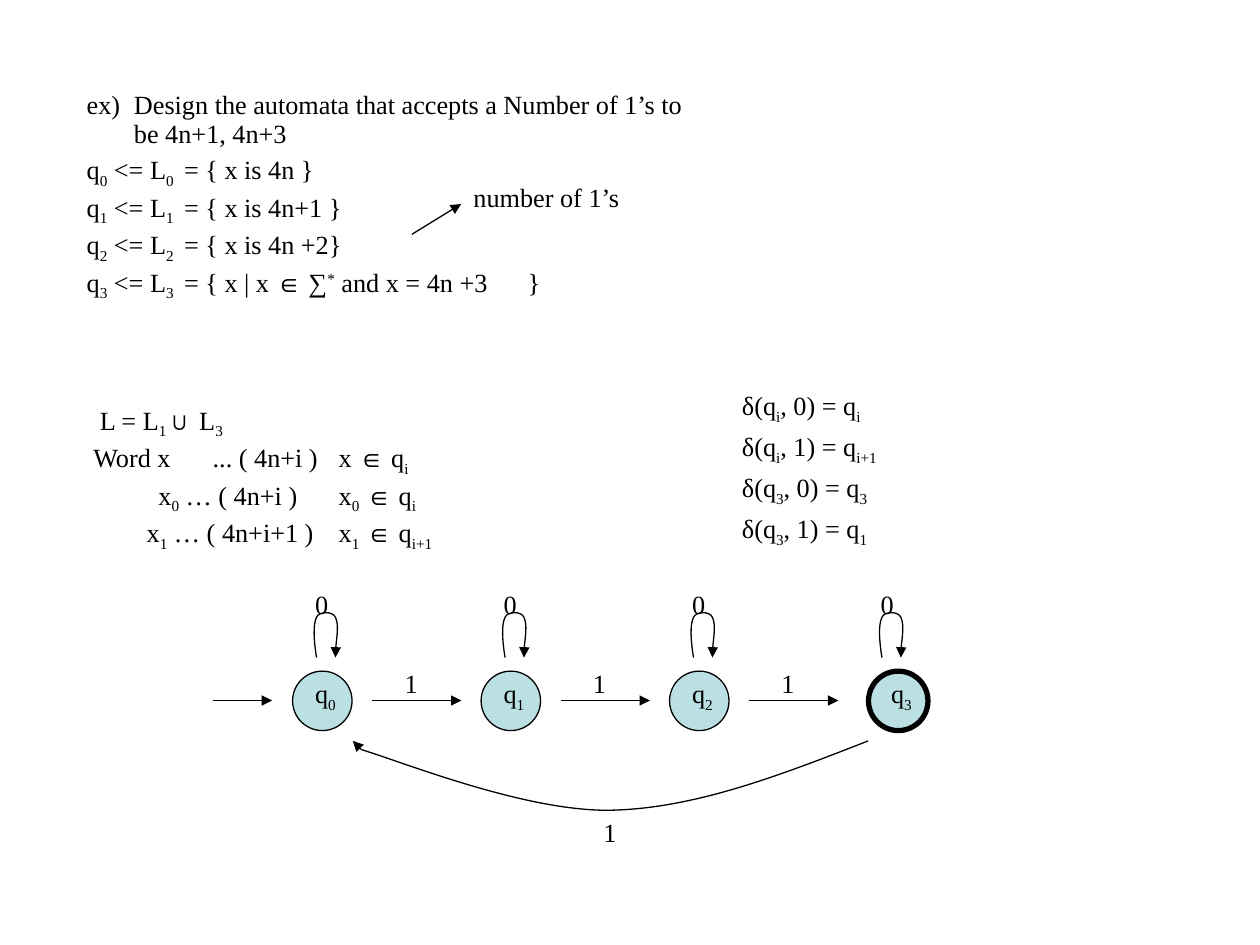
"""Build a slide that designs a four-state automaton counting ones."""
from dataclasses import dataclass

from lxml.etree import SubElement
from pptx import Presentation
from pptx.dml.color import RGBColor
from pptx.enum.shapes import MSO_CONNECTOR, MSO_SHAPE
from pptx.oxml.ns import qn
from pptx.util import Pt


@dataclass(frozen=True)
class Theme:
    font: str = "Times New Roman"
    size: float = 15
    ink: RGBColor = RGBColor(0x00, 0x00, 0x00)
    state_fill: RGBColor = RGBColor(0xBB, 0xE0, 0xE3)
    thin: float = 0.75
    thick: float = 3
    gap: float = 3
    section_gap: float = 60.5


@dataclass(frozen=True)
class Line:
    text: str
    margin: float = 0
    first_indent: float = 0
    stops: tuple = ()
    gap: float = Theme.gap


THEME = Theme()

EXPLANATION = [
    Line("ex)\tDesign the automata that accepts a Number of 1’s to be 4n+1, 4n+3", 27, -27),
    Line("q_0_ <= L_0 _ = { x is 4n }"),
    Line("q_1_ <= L_1 _ = { x is 4n+1 }"),
    Line("q_2_ <= L_2 _ = { x is 4n +2}"),
    Line("q_3_ <= L_3 _ = { x | x ∈ ∑_*_ and x = 4n +3\t}", stops=(236.6,)),
    Line("L = L_1_∪ L_3_", first_indent=7.5, gap=THEME.section_gap),
    Line("Word x\t... ( 4n+i )\tx ∈ q_i_", first_indent=3.75, stops=(58.9, 223.4)),
    Line("x_0_ … ( 4n+i )\tx_0_ ∈ q_i_", first_indent=41, stops=(221.4,)),
    Line("x_1_ … ( 4n+i+1 )\tx_1_ ∈ q_i+1_", first_indent=34.3, stops=(212,)),
]
TRANSITIONS = [
    Line("δ(q_i_, 0) = q_i_"),
    Line("δ(q_i_, 1) = q_i+1_"),
    Line("δ(q_3_, 0) = q_3_"),
    Line("δ(q_3_, 1) = q_1_"),
]
STATES = ["q_0_", "q_1_", "q_2_", "q_3_"]

COLUMN_LEFT, COLUMN_PITCH = 167.2, 107.7
STATE_TOP, STATE_SIZE, ACCEPT_SHIFT = 383.5, 34, 6
ARROW_Y = 400.3
LOOP = [(13.7, 375.8), (12.2, 366.5), (11.5, 357.1), (13.7, 352.8), (15.1, 349.2),
        (23, 349.2), (24.5, 352.8), (26.6, 357.1), (23.8, 375.1), (24.5, 375.8)]
RETURN = [(496.1, 423.4), (446.4, 442.8), (396.7, 462.2), (348.5, 463),
          (300.2, 463.7), (230.4, 435.6), (206.6, 428.4)]
RETURN_TIP = (201.6, 423.4)


def add_spans(para, text):
    for position, piece in enumerate(text.split("_")):
        if not piece:
            continue
        span = para.add_run()
        span.text = piece
        span.font.name = THEME.font
        span.font.size = Pt(THEME.size)
        span.font.color.rgb = THEME.ink
        if position % 2:
            baseline = "30000" if piece.startswith("*") else "-25000"
            span._r.get_or_add_rPr().set("baseline", baseline)


def add_text(left, top, width, height, lines, spacing=1.0):
    box = slide.shapes.add_textbox(Pt(left), Pt(top), Pt(width), Pt(height))
    frame = box.text_frame
    frame.word_wrap = True
    for number, line in enumerate(lines):
        para = frame.paragraphs[0] if number == 0 else frame.add_paragraph()
        para.line_spacing = spacing
        para.space_before = Pt(line.gap if number else 0)
        properties = para._p.get_or_add_pPr()
        properties.set("marL", str(Pt(line.margin)))
        properties.set("indent", str(Pt(line.first_indent)))
        if line.stops:
            tabs = SubElement(properties, qn("a:tabLst"))
            for stop in line.stops:
                SubElement(tabs, qn("a:tab"), pos=str(Pt(stop)), algn="l")
        add_spans(para, line.text)


def style_line(shape, width=THEME.thin, arrow=False):
    shape.line.color.rgb = THEME.ink
    shape.line.width = Pt(width)
    if arrow:
        SubElement(shape.line._get_or_add_ln(), qn("a:tailEnd"), type="triangle")


def add_arrow(start, end):
    arrow = slide.shapes.add_connector(MSO_CONNECTOR.STRAIGHT, *map(Pt, start + end))
    style_line(arrow, arrow=True)
    SubElement(arrow._element.spPr, qn("a:effectLst"))


def add_curve(controls, arrow=False):
    points = [(Pt(x), Pt(y)) for x, y in controls]
    builder = slide.shapes.build_freeform(*points[0])
    builder.add_line_segments(points[1:], close=False)
    curve = builder.convert_to_shape()
    segments = list(curve._element.iter(qn("a:lnTo")))
    outline = segments[0].getparent()
    for first in range(0, len(segments), 3):
        bezier = SubElement(outline, qn("a:cubicBezTo"))
        for segment in segments[first:first + 3]:
            bezier.append(segment[0])
            outline.remove(segment)
    curve.fill.background()
    curve.shadow.inherit = False
    style_line(curve, arrow=arrow)


def add_state(left, width):
    state = slide.shapes.add_shape(
        MSO_SHAPE.OVAL, Pt(left), Pt(STATE_TOP), Pt(STATE_SIZE), Pt(STATE_SIZE))
    state.fill.solid()
    state.fill.fore_color.rgb = THEME.state_fill
    state.shadow.inherit = False
    style_line(state, width)


deck = Presentation()
deck.slide_width, deck.slide_height = Pt(720), Pt(540)
slide = deck.slides.add_slide(deck.slide_layouts[6])

add_text(42.5, 49, 357, 306, EXPLANATION, spacing=0.9)
add_text(416.9, 218.9, 198.7, 104.4, TRANSITIONS)
add_text(263.5, 100, 164, 25, [Line("number of 1’s")])
add_arrow((235.4, 133.9), (263.5, 116.6))

add_arrow((121.7, ARROW_Y), (155.5, ARROW_Y))
for index, name in enumerate(STATES):
    column = COLUMN_LEFT + index * COLUMN_PITCH
    accepting = index == len(STATES) - 1
    state_left = column + (ACCEPT_SHIFT if accepting else 0)
    add_state(state_left, THEME.thick if accepting else THEME.thin)
    add_text(state_left + 5.8, STATE_TOP, 45.4, 25, [Line(name)])
    add_curve([(column + x, y) for x, y in LOOP], arrow=True)
    add_text(column + 5.8, 332.6, 28, 25, [Line("0")])
    if not accepting:
        add_arrow((column + 45.4, ARROW_Y), (column + 96.5, ARROW_Y))
        add_text(column + 56.9, 378, 28, 25, [Line("1")])

add_curve(RETURN)
add_arrow(RETURN[-1], RETURN_TIP)
add_text(337.7, 463, 28, 25, [Line("1")])

deck.save("out.pptx")
